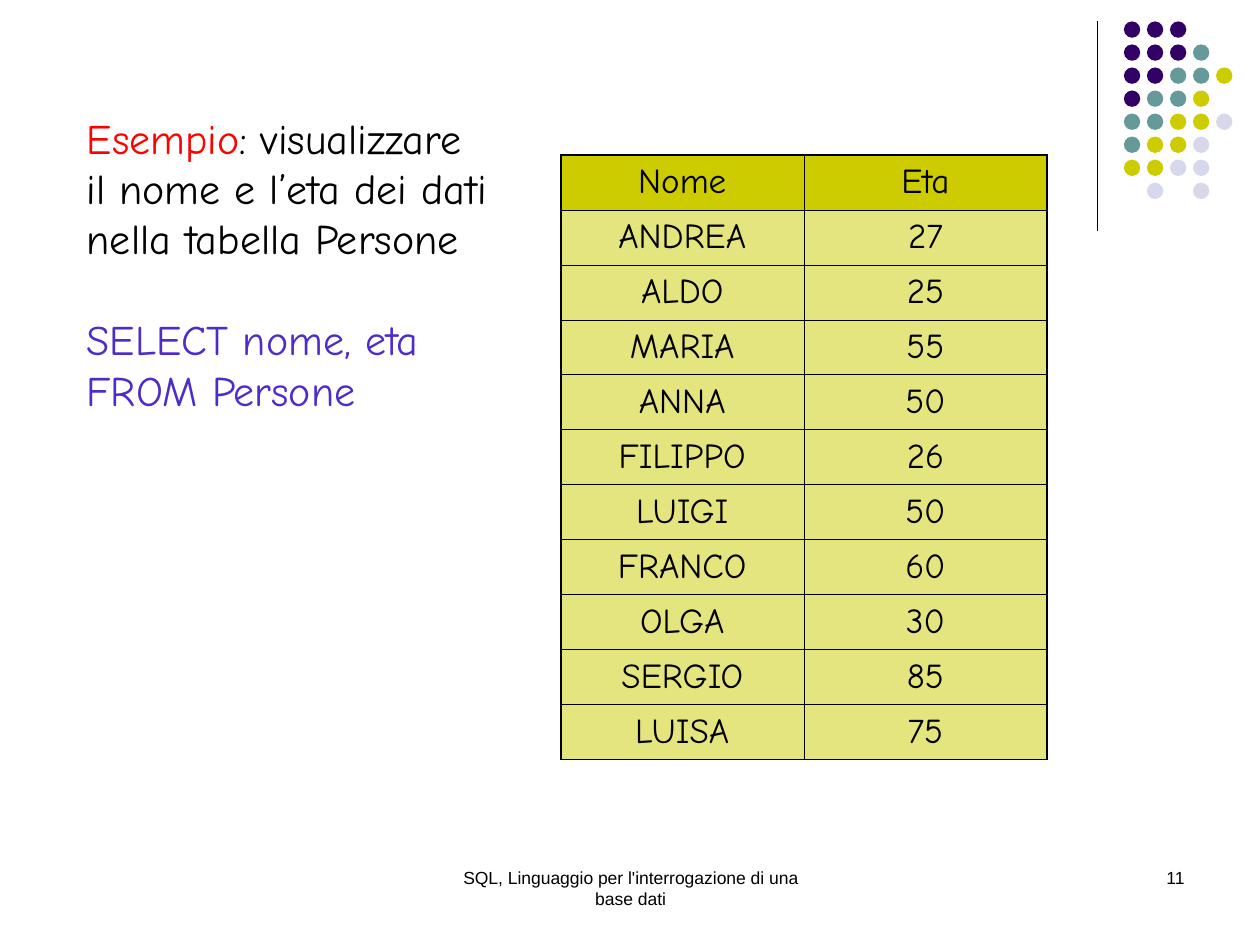
"""Build the SQL example slide with its query and the table of people."""
from lxml.etree import SubElement
from pptx import Presentation
from pptx.dml.color import RGBColor as RGB
from pptx.enum.shapes import MSO_CONNECTOR as LINK, MSO_SHAPE as SHAPE
from pptx.enum.text import MSO_ANCHOR as ANCHOR, PP_ALIGN as ALIGN
from pptx.oxml.ns import qn
from pptx.util import Inches, Pt

INK = {"black": "000000", "red": "FF0000", "blue": "4E2CCA", "plum": "330066",
       "teal": "669999", "lime": "CCCC00", "pale": "D8D8EC"}
HAND = {"name": "Comic Neue", "size": Pt(24)}
CELL = {"name": "Comic Neue", "size": Pt(20)}
FOOT = {"name": "Arial", "size": Pt(10)}


def add_run(para, text, style, ink="black"):
    run = para.add_run()
    run.text = text
    for key, value in style.items():
        setattr(run.font, key, value)
    run.font.color.rgb = RGB.from_string(INK[ink])


def add_box(left, top, width, height):
    frame = slide.shapes.add_textbox(
        Inches(left), Inches(top), Inches(width), Inches(height)).text_frame
    frame.word_wrap = True
    return frame


deck = Presentation()
deck.slide_width, deck.slide_height = Inches(10), Inches(7.5)
slide = deck.slides.add_slide(deck.slide_layouts[6])

rule = slide.shapes.add_connector(
    LINK.STRAIGHT, Inches(8.71), Inches(0.17), Inches(8.71), Inches(1.83))
rule.line.color.rgb = RGB.from_string(INK["black"])
rule.line.width = Pt(0.75)
SubElement(rule._element.spPr, qn("a:effectLst"))

DOTS = ["PPP", "PPPT", "PPTTL", "PTTL", "TTLLV", "TLLV", "LLVV", " V V"]
KEYS = {"P": "plum", "T": "teal", "L": "lime", "V": "pale"}
step = Inches(1.28) / 7
for row, line in enumerate(DOTS):
    for col, key in enumerate(line):
        if key == " ":
            continue
        dot = slide.shapes.add_shape(
            SHAPE.OVAL, int(Inches(8.92) + col * step),
            int(Inches(0.17) + row * step), Inches(0.13), Inches(0.13))
        dot.shadow.inherit = False
        dot.fill.solid()
        dot.fill.fore_color.rgb = RGB.from_string(INK[KEYS[key]])
        dot.line.fill.background()

DATA = [("Nome", "Eta"), ("ANDREA", "27"), ("ALDO", "25"), ("MARIA", "55"),
        ("ANNA", "50"), ("FILIPPO", "26"), ("LUIGI", "50"), ("FRANCO", "60"),
        ("OLGA", "30"), ("SERGIO", "85"), ("LUISA", "75")]
last = len(DATA) - 1
table = slide.shapes.add_table(
    len(DATA), 2, Inches(4.45), Inches(1.23), Inches(3.86), Inches(4.8)).table
table.first_row = table.horz_banding = False
for row, pair in enumerate(DATA):
    for col, text in enumerate(pair):
        cell = table.cell(row, col)
        cell.vertical_anchor = ANCHOR.MIDDLE
        para = cell.text_frame.paragraphs[0]
        para.alignment = ALIGN.CENTER
        add_run(para, text, CELL)
        props = cell._tc.get_or_add_tcPr()
        outer = {"lnL": col == 0, "lnR": col == 1,
                 "lnT": row == 0, "lnB": row == last}
        for tag, edge in outer.items():
            side = SubElement(props, qn("a:" + tag),
                              w=str(Pt(1.08 if edge else 0.45)))
            paint = SubElement(side, qn("a:solidFill"))
            SubElement(paint, qn("a:srgbClr"), val=INK["black"])
        cell.fill.solid()
        cell.fill.fore_color.rgb = RGB.from_string(INK["lime"])
        if row:
            tint = props.find(qn("a:solidFill")).find(qn("a:srgbClr"))
            SubElement(tint, qn("a:alpha"), val="50000")

task = add_box(0.59, 0.84, 3.39, 2.9)
para = task.paragraphs[0]
add_run(para, "Esempio", HAND, "red")
add_run(para, ": visualizzare il nome e l’eta dei dati nella tabella Persone", HAND)
for text, gap in [("SELECT nome, eta", 29), ("FROM Persone", 0)]:
    para = task.add_paragraph()
    para.space_before = Pt(gap)
    add_run(para, text, HAND, "blue")

NOTES = [
    (3.42, 3.17, ALIGN.CENTER, "SQL, Linguaggio per l'interrogazione di una base dati"),
    (7.17, 2.33, ALIGN.RIGHT, "11"),
]
for left, width, align, text in NOTES:
    para = add_box(left, 6.83, width, 0.5).paragraphs[0]
    para.alignment = align
    add_run(para, text, FOOT)

deck.save("out.pptx")
